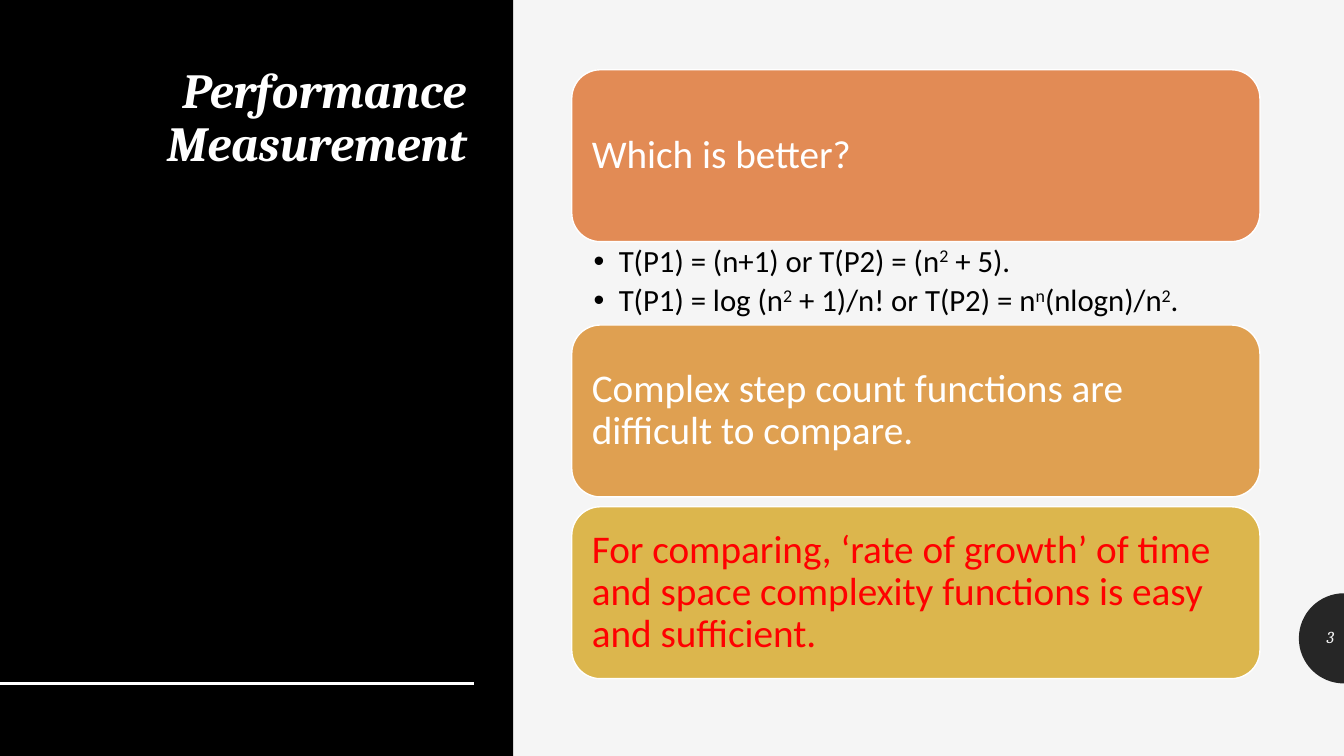
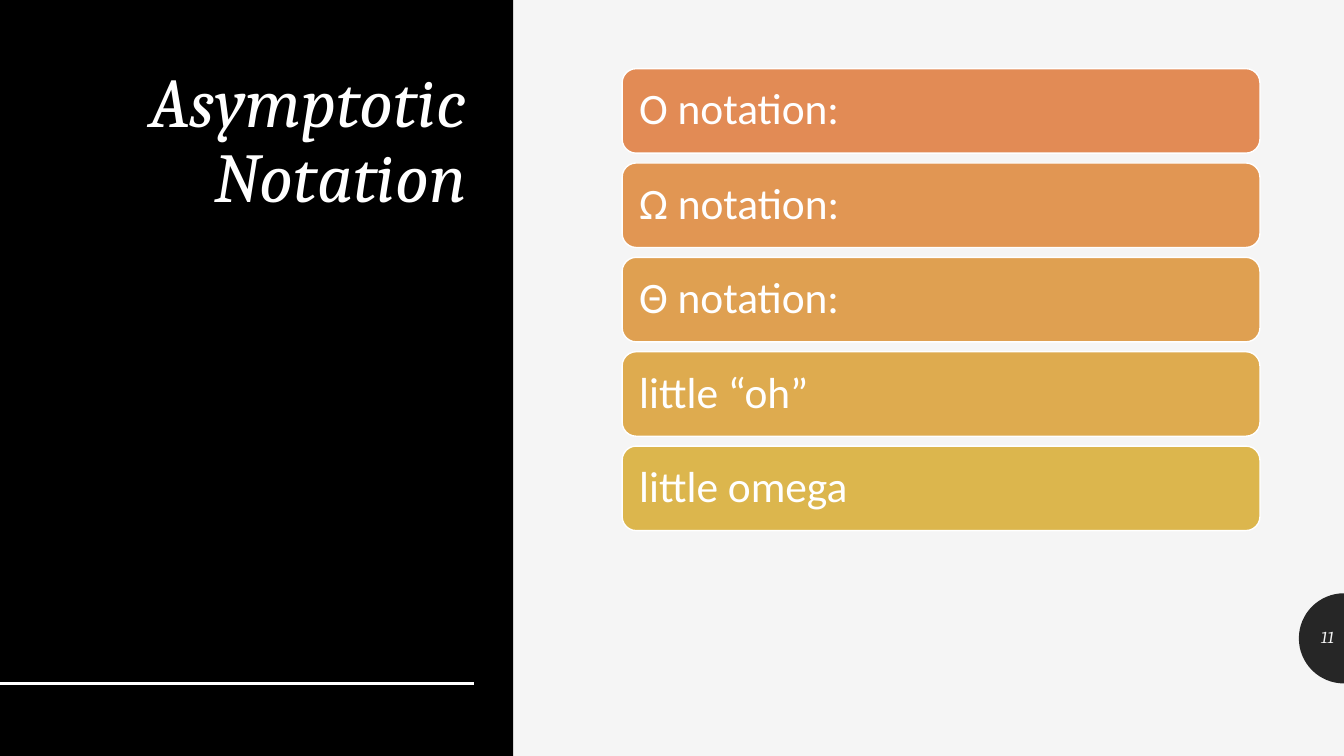
from math import cos, pi, sin

from lxml import etree
from pptx import Presentation
from pptx.dml.color import RGBColor
from pptx.enum.shapes import MSO_CONNECTOR, MSO_SHAPE
from pptx.enum.text import MSO_ANCHOR, MSO_AUTO_SIZE, PP_ALIGN
from pptx.oxml.ns import qn
from pptx.util import Pt

RECTANGLE = MSO_SHAPE.RECTANGLE
ROUNDED = MSO_SHAPE.ROUNDED_RECTANGLE
STRAIGHT = MSO_CONNECTOR.STRAIGHT
TOP, MIDDLE = MSO_ANCHOR.TOP, MSO_ANCHOR.MIDDLE
LEFT, RIGHT = PP_ALIGN.LEFT, PP_ALIGN.RIGHT
NO_FIT = MSO_AUTO_SIZE.NONE

COLORS = {
    "background": "F5F5F5",
    "panel": "000000",
    "tab": "262626",
    "white": "FFFFFF",
    "bullets": "000000",
    "alert": "FF0000",
    "coral": "E28B55",
    "orange": "E19653",
    "amber": "DFA051",
    "honey": "DEAB4F",
    "gold": "DCB64D",
}
HEADING_FONT, BODY_FONT = "Cambria", "Calibri"
SLIDE_WIDTH, SLIDE_HEIGHT = 960, 540
TITLE_AND_BODY, TITLE_ONLY = 1, 5
LINE_SPACING = 0.9


def rgb(name):
    return RGBColor.from_string(COLORS[name])


def fill_shape(shape, color, outline=None):
    shape.shadow.inherit = False
    shape.fill.solid()
    shape.fill.fore_color.rgb = rgb(color)
    if outline:
        shape.line.color.rgb = rgb(outline)
        shape.line.width = Pt(1)
    else:
        shape.line.fill.background()


def format_paragraph(paragraph, font, size, color, align=LEFT, bold=False, italic=False):
    paragraph.alignment = align
    paragraph.line_spacing = LINE_SPACING
    paragraph.font.name = font
    paragraph.font.size = Pt(size)
    paragraph.font.color.rgb = rgb(color)
    paragraph.font.bold = bold
    paragraph.font.italic = italic


def set_insets(frame, horizontal, vertical):
    frame.margin_left = frame.margin_right = Pt(horizontal)
    frame.margin_top = frame.margin_bottom = Pt(vertical)


def place(shape, left, top, width, height):
    shape.left, shape.top = Pt(left), Pt(top)
    shape.width, shape.height = Pt(width), Pt(height)


def add_title_panel(slide, title, size, bold, width=366.5):
    panel = slide.shapes.add_shape(RECTANGLE, 0, 0, Pt(width), Pt(SLIDE_HEIGHT))
    fill_shape(panel, "panel")

    heading = slide.shapes.title
    panel.element.addnext(heading.element)
    place(heading, 60, 44, width - 86, 390)
    frame = heading.text_frame
    frame.text = title
    frame.word_wrap = True
    frame.auto_size = NO_FIT
    frame.vertical_anchor = TOP
    format_paragraph(frame.paragraphs[0], HEADING_FONT, size, "white", RIGHT, bold, True)

    rule_top = Pt(488)
    rule = slide.shapes.add_connector(STRAIGHT, 0, rule_top, Pt(width - 28), rule_top)
    rule.line.color.rgb = rgb("white")
    rule.line.width = Pt(2)
    etree.SubElement(rule.element.spPr, qn("a:effectLst"))


def add_number_tab(slide, number, center_y=456, radius=32.2, steps=32):
    angles = [pi / 2 + pi * step / steps for step in range(steps + 1)]
    arc = [
        (Pt(SLIDE_WIDTH + radius * cos(angle)), Pt(center_y - radius * sin(angle)))
        for angle in angles
    ]
    outline = slide.shapes.build_freeform(*arc[0])
    outline.add_line_segments(arc[1:], close=True)
    tab = outline.convert_to_shape()
    fill_shape(tab, "tab")
    frame = tab.text_frame
    frame.text = number
    frame.word_wrap = True
    frame.vertical_anchor = MIDDLE
    format_paragraph(frame.paragraphs[0], HEADING_FONT, 12, "background", RIGHT, italic=True)


def add_card(slide, box, text, fill, size, inset, color="white"):
    card = slide.shapes.add_shape(ROUNDED, *(Pt(length) for length in box))
    fill_shape(card, fill, outline="white")
    frame = card.text_frame
    frame.text = text
    frame.word_wrap = True
    frame.vertical_anchor = MIDDLE
    set_insets(frame, inset, inset)
    format_paragraph(frame.paragraphs[0], BODY_FONT, size, color)


def fill_formulas(body, box, formulas):
    place(body, *box)
    frame = body.text_frame
    frame.word_wrap = True
    frame.auto_size = NO_FIT
    frame.vertical_anchor = TOP
    set_insets(frame, 15.6, 2.8)
    for index, formula in enumerate(formulas):
        paragraph = frame.paragraphs[0] if index == 0 else frame.add_paragraph()
        format_paragraph(paragraph, BODY_FONT, 22, "bullets")
        paragraph.space_before = Pt(0)
        paragraph.space_after = Pt(4.4)
        properties = paragraph._p.get_or_add_pPr()
        properties.set("marL", str(Pt(18)))
        properties.set("indent", str(Pt(-18)))
        for position, piece in enumerate(formula.split("^")):
            run = paragraph.add_run()
            run.text = piece
            if position % 2:
                run._r.get_or_add_rPr().set("baseline", "30000")


def add_comparison(slide, box):
    left, top, width, height = box
    formulas_height, gap = 59.5, 7
    card_height = (height - formulas_height - gap) / 3
    formulas_top = top + card_height
    compare_top = formulas_top + formulas_height
    growth_top = compare_top + card_height + gap
    cards = [
        (top, "Which is better?", "coral", "white"),
        (compare_top, "Complex step count functions are difficult to compare.", "amber", "white"),
        (growth_top, "For comparing, ‘rate of growth’ of time and space complexity "
                     "functions is easy and sufficient.", "gold", "alert"),
    ]
    for card_top, text, fill, color in cards:
        add_card(slide, (left, card_top, width, card_height), text, fill, 28, 8.4, color)
    formulas = [
        "T(P1) = (n+1) or T(P2) = (n^2^ + 5).",
        "T(P1) = log (n^2^ + 1)/n! or T(P2) = n^n^(nlogn)/n^2^.",
    ]
    fill_formulas(slide.placeholders[1], (left, formulas_top, width, formulas_height), formulas)


def add_notations(slide, box):
    left, top, width, height = box
    notations = [
        ("O notation:", "coral"),
        ("Ω notation:", "orange"),
        ("Θ notation:", "amber"),
        ("little “oh”", "honey"),
        ("little omega", "gold"),
    ]
    gap = 7
    card_height = (height - gap * (len(notations) - 1)) / len(notations)
    for index, (text, fill) in enumerate(notations):
        card_top = top + index * (card_height + gap)
        add_card(slide, (left, card_top, width, card_height), text, fill, 31, 9.2)


def add_slide(prs, layout, title, size, number, bold=False):
    slide = prs.slides.add_slide(prs.slide_layouts[layout])
    add_title_panel(slide, title, size, bold)
    add_number_tab(slide, number)
    return slide


def main():
    prs = Presentation()
    prs.slide_width, prs.slide_height = Pt(SLIDE_WIDTH), Pt(SLIDE_HEIGHT)
    background = prs.slide_master.background.fill
    background.solid()
    background.fore_color.rgb = rgb("background")

    performance = add_slide(prs, TITLE_AND_BODY, "Performance Measurement", 35, "3", bold=True)
    add_comparison(performance, (408.4, 49.8, 491.6, 435))

    asymptotic = add_slide(prs, TITLE_ONLY, "Asymptotic Notation", 50, "11")
    add_notations(asymptotic, (444.4, 49, 455.6, 330))

    prs.save("out.pptx")


if __name__ == "__main__":
    main()
